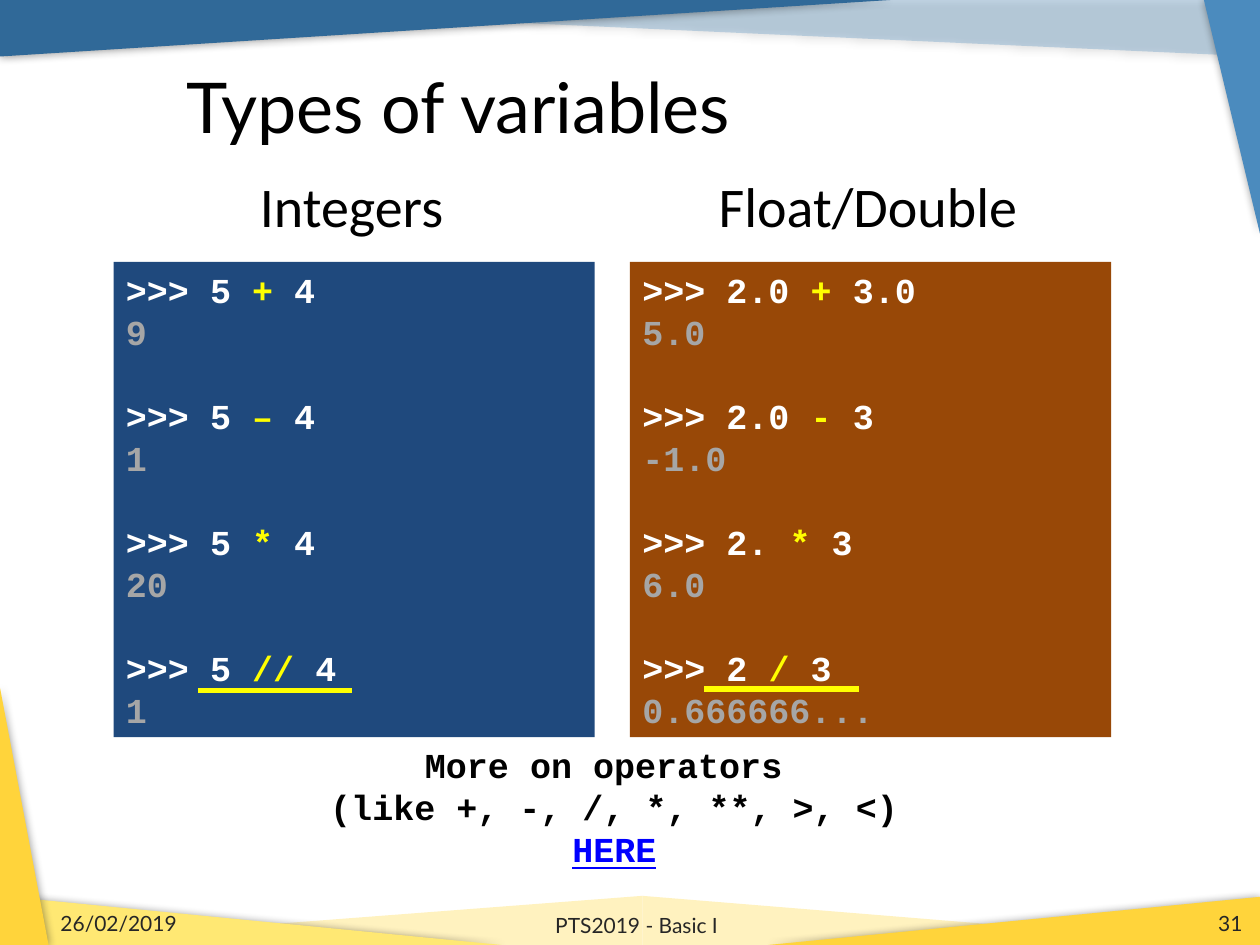
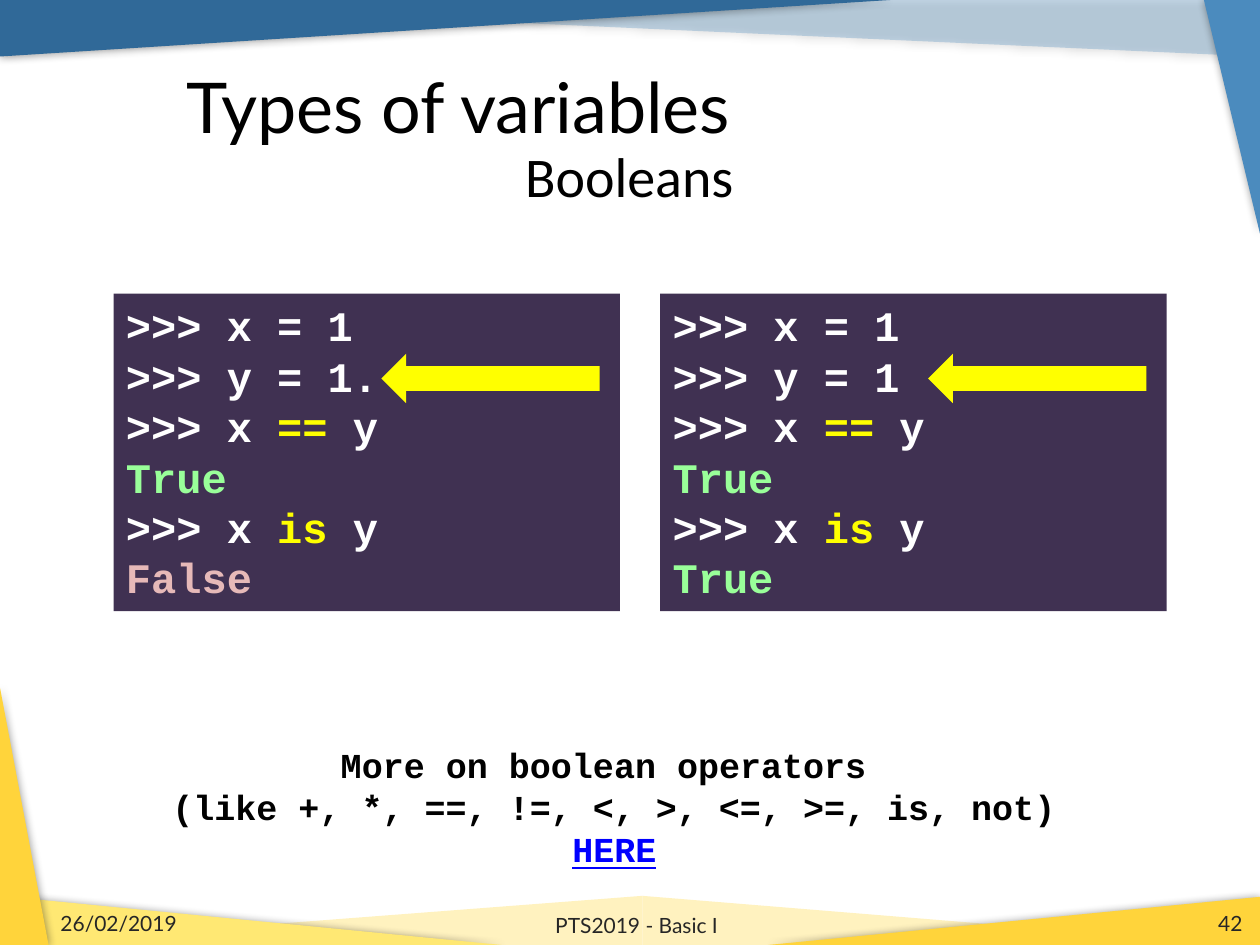
from dataclasses import dataclass

from lxml import etree
from pptx import Presentation
from pptx.dml.color import RGBColor
from pptx.enum.shapes import MSO_CONNECTOR, MSO_SHAPE
from pptx.enum.text import MSO_ANCHOR, MSO_AUTO_SIZE, PP_ALIGN
from pptx.oxml import parse_xml
from pptx.oxml.ns import nsdecls, qn
from pptx.util import Cm, Pt


@dataclass(frozen=True)
class Theme:
    title_font: str = "Lato"
    heading_font: str = "Calibri"
    code_font: str = "Courier New"
    title: int = 40
    heading: int = 32
    code_large: int = 24
    code: int = 20
    footer: int = 12
    leading: float = 1.2
    text: str = "000000"
    footer_text: str = "262626"
    link: str = "0000FF"
    prompt: str = "FFFFFF"
    accent: str = "FFFF00"
    output: str = "A6A6A6"
    true: str = "99FF99"
    false: str = "E6B9B8"
    integer_panel: str = "1F497D"
    float_panel: str = "984807"
    boolean_panel: str = "403152"
    sky: str = "4B8BBE"
    navy: str = "306998"
    cream: str = "FFF2BF"
    lemon: str = "FFE873"
    gold: str = "FFD43B"


T = Theme()


def write(tf, lines, font=T.code_font, size=T.code, color=T.text, bold=False,
          align=PP_ALIGN.LEFT, anchor=MSO_ANCHOR.TOP, leading=None, group=None):
    """Fill tf; a line is a string or a list of (text, colour) runs.

    With group=n, an empty line's worth of space separates every n lines.
    """
    tf.word_wrap = True
    tf.auto_size = MSO_AUTO_SIZE.NONE
    tf.vertical_anchor = anchor
    for i, line in enumerate(lines):
        p = tf.add_paragraph() if i else tf.paragraphs[0]
        p.alignment = align
        if leading:
            p.line_spacing = Pt(size * leading)
        if group and i and i % group == 0:
            p.space_before = Pt(size * T.leading)
        for text, run_color in [(line, color)] if isinstance(line, str) else line:
            r = p.add_run()
            r.text = text
            r.font.name = font
            r.font.size = Pt(size)
            r.font.bold = bold
            r.font.color.rgb = RGBColor.from_string(run_color)
            if run_color == T.link:
                r.font.underline = True


def paint(shape, color):
    shape.shadow.inherit = False
    shape.fill.solid()
    shape.fill.fore_color.rgb = RGBColor.from_string(color)
    shape.line.fill.background()
    return shape


prs = Presentation()
prs.slide_width, prs.slide_height = Cm(25.4), Cm(19.05)
layout = prs.slide_layouts[5]
slides = [prs.slides.add_slide(layout) for _ in range(2)]

# Shared corner bands: drawn once, then moved to the layout
W, H = 25.4, 19.05
bands = [  # corners, colour, opacity in %, shadow
    ([(0.33, 0), (25.35, 0), (25.35, 1.14)], T.sky, 30, True),
    ([(12.95, H), (25.1, H), (12.95, 18.06)], T.cream, 100, False),
    ([(0, H), (12.95, H), (12.95, 18.06)], T.cream, 100, False),
    ([(0, H), (10.11, H), (0, 18.06)], T.lemon, 100, True),
    ([(15.49, H), (W, H), (W, 18.08)], T.gold, 100, True),
    ([(0, 0), (17.96, 0), (0, 1.14)], T.navy, 100, True),
    ([(24.27, 0), (W, 0), (W, 4.71)], T.sky, 100, True),
    ([(0, 13.86), (0, H), (0.98, H)], T.gold, 100, True),
]
for corners, color, opacity, shadow in bands:
    points = [(Cm(x), Cm(y)) for x, y in corners]
    builder = slides[0].shapes.build_freeform(*points[0])
    builder.add_line_segments(points[1:], close=True)
    band = paint(builder.convert_to_shape(), color)
    if opacity < 100:
        clr = band.element.spPr.find(".//" + qn("a:srgbClr"))
        etree.SubElement(clr, qn("a:alpha"), val=str(opacity * 1000))
    if shadow:
        band.element.spPr.find(qn("a:effectLst")).append(parse_xml(
            f'<a:outerShdw {nsdecls("a")} blurRad="{Pt(5)}" dist="0" dir="0">'
            '<a:srgbClr val="000000"><a:alpha val="40000"/></a:srgbClr></a:outerShdw>'))
    layout.shapes.element.append(band.element)

# Content of each slide
prompt = ">>> "


def_sums = {
    "integer": [("5", "+", "4", "9"), ("5", "–", "4", "1"),
                ("5", "*", "4", "20"), ("5", "//", "4", "1")],
    "float": [("2.0", "+", "3.0", "5.0"), ("2.0", "-", "3", "-1.0"),
              ("2.", "*", "3", "6.0"), ("2", "/", "3", "0.666666...")],
}
sums = {
    kind: [line for a, op, b, result in rows for line in (
        [(f"{prompt}{a} ", T.prompt), (op, T.accent), (f" {b}", T.prompt)],
        [(result, T.output)])]
    for kind, rows in def_sums.items()
}
comparisons = []
for y_value, is_result, is_color in [("1.", "False", T.false), ("1", "True", T.true)]:
    lines = [f"{prompt}x = 1", f"{prompt}y = {y_value}"]
    for op, result, color in [("==", "True", T.true), ("is", is_result, is_color)]:
        lines.append([(f"{prompt}x ", T.prompt), (op, T.accent), (" y", T.prompt)])
        lines.append([(result, color)])
    comparisons.append(lines)

pages = [
    dict(number="31",
         headings=[("Integers", 2.29, 3.33, 9.6), ("Float/Double", 12.7, 3.33, 9.6)],
         panels=[(2.29, T.integer_panel, sums["integer"]),
                 (12.7, T.float_panel, sums["float"])],
         panel_box=(5.28, 9.7, 9.58), size=T.code, group=2,
         more=["More on operators ", "(like +, -, /, *, **, >, <)"]),
    dict(number="42",
         headings=[("Booleans", 0.69, 2.72, 24)],
         panels=[(2.29, T.boolean_panel, comparisons[0]),
                 (13.31, T.boolean_panel, comparisons[1])],
         panel_box=(5.92, 10.21, 6.4), size=T.code_large, group=None,
         more=["More on boolean operators ",
               "(like +, *, ==, !=, <, >, <=, >=, is, not)"]),
]

for s, page in zip(slides, pages):
    # Title
    title = s.shapes.title
    title.left, title.top, title.width, title.height = Cm(3.5), Cm(1.12), Cm(20.62), Cm(2)
    write(title.text_frame, ["Types of variables"], font=T.title_font, size=T.title,
          anchor=MSO_ANCHOR.MIDDLE)

    # Headings
    for text, x, y, w in page["headings"]:
        tb = s.shapes.add_textbox(Cm(x), Cm(y), Cm(w), Cm(2))
        write(tb.text_frame, [text], font=T.heading_font, size=T.heading,
              align=PP_ALIGN.CENTER)

    # Code panels
    top, width, height = page["panel_box"]
    for x, color, lines in page["panels"]:
        panel = paint(s.shapes.add_shape(MSO_SHAPE.RECTANGLE, Cm(x), Cm(top),
                                         Cm(width), Cm(height)), color)
        write(panel.text_frame, lines, size=page["size"], color=T.prompt, bold=True,
              leading=T.leading, group=page["group"])

    # Further reading
    tb = s.shapes.add_textbox(Cm(2.29), Cm(14.86), Cm(20.19), Cm(2.82))
    write(tb.text_frame, page["more"] + [[("HERE", T.link)]], bold=True,
          align=PP_ALIGN.CENTER, leading=T.leading)

    # Footer
    for text, x, y, w, h, align in [
        ("26/02/2019", 0.97, 18.31, 5.92, 0.6, PP_ALIGN.LEFT),
        ("PTS2019 - Basic I", 8.81, 18.14, 8.05, 1.02, PP_ALIGN.CENTER),
        (page["number"], 19.38, 18.31, 5.92, 0.6, PP_ALIGN.RIGHT),
    ]:
        tb = s.shapes.add_textbox(Cm(x), Cm(y), Cm(w), Cm(h))
        write(tb.text_frame, [text], font=T.title_font, size=T.footer,
              color=T.footer_text, align=align, anchor=MSO_ANCHOR.MIDDLE)

# Underlines below the two kinds of division
for x, y in [(3.99, 13.92), (14.2, 13.89)]:
    underline = slides[0].shapes.add_connector(MSO_CONNECTOR.STRAIGHT, Cm(x), Cm(y),
                                               Cm(x + 3.11), Cm(y))
    underline.line.color.rgb = RGBColor.from_string(T.accent)
    underline.line.width = Pt(3)
    etree.SubElement(underline.element.spPr, qn("a:effectLst"))

# Arrows to the two values of y
for x, _, _ in pages[1]["panels"]:
    paint(slides[1].shapes.add_shape(MSO_SHAPE.LEFT_ARROW, Cm(x + 5.4), Cm(7.13),
                                     Cm(4.4), Cm(1)), T.accent)

prs.save("out.pptx")
